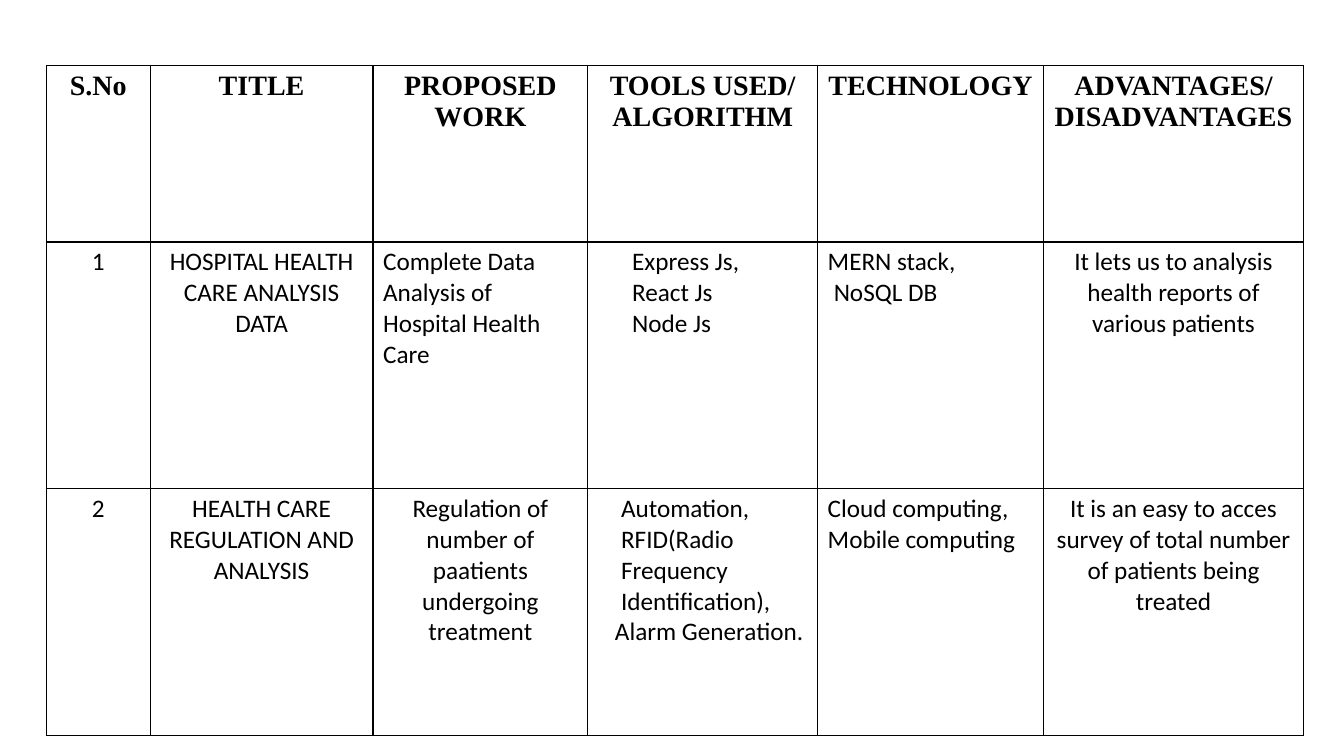
from lxml import etree
from pptx import Presentation
from pptx.dml.color import RGBColor
from pptx.enum.text import PP_ALIGN
from pptx.oxml.ns import qn
from pptx.util import Inches, Pt

CENTER, LEFT = PP_ALIGN.CENTER, PP_ALIGN.LEFT
COLORS = {"text": "000000", "border": "000000"}

COLUMN_WIDTHS = [1.03, 2.21, 2.13, 2.28, 2.24, 2.58]
ROW_HEIGHTS = [1.75, 2.45, 2.45]

HEADERS = ["S.No", "TITLE", "PROPOSED WORK", "TOOLS USED/\nALGORITHM",
           "TECHNOLOGY", "ADVANTAGES/ DISADVANTAGES"]

# Each entry: text with one paragraph per line, alignment, indent of each line
STUDIES = [
    [
        ("1", CENTER, []),
        ("HOSPITAL HEALTH CARE ANALYSIS DATA", CENTER, []),
        ("Complete Data Analysis of Hospital Health Care", LEFT, []),
        ("Express Js,\nReact Js\nNode Js", LEFT, [0.34] * 3),
        ("MERN stack,\nNoSQL DB", LEFT, [0, 0.06]),
        ("It lets us to analysis health reports of various patients", CENTER, []),
    ],
    [
        ("2", CENTER, []),
        ("HEALTH CARE REGULATION AND ANALYSIS", CENTER, []),
        ("Regulation of number of paatients undergoing treatment", CENTER, []),
        ("Automation,\nRFID(Radio\nFrequency\nIdentification),\nAlarm Generation.",
         LEFT, [0.23] * 4 + [0.17]),
        ("Cloud computing,\nMobile computing", LEFT, []),
        ("It is an easy to acces survey of total number of patients being treated",
         CENTER, []),
    ],
]


class SlideBuilder:
    """Holds the current slide and the text styles of the table."""

    header_style = ("Times New Roman", 20, True)
    body_style = ("Calibri", 18, False)

    def __init__(self, presentation):
        self.slide = presentation.slides.add_slide(presentation.slide_layouts[6])

    def add_table(self, left, top, column_widths, row_heights):
        frame = self.slide.shapes.add_table(
            len(row_heights), len(column_widths), Inches(left), Inches(top),
            Inches(sum(column_widths)), Inches(sum(row_heights)))
        table = frame.table
        table.first_row = False
        table.horz_banding = False
        for column, width in zip(table.columns, column_widths):
            column.width = Inches(width)
        for row, height in zip(table.rows, row_heights):
            row.height = Inches(height)
        return table

    def add_borders(self, cell):
        properties = cell._tc.get_or_add_tcPr()
        for position, side in enumerate(("a:lnL", "a:lnR", "a:lnT", "a:lnB")):
            line = etree.Element(qn(side), w=str(Pt(1)))
            fill = etree.SubElement(line, qn("a:solidFill"))
            etree.SubElement(fill, qn("a:srgbClr"), val=COLORS["border"])
            properties.insert(position, line)

    def fill_cell(self, cell, text, style, alignment, indents=()):
        font_name, size, bold = style
        cell.fill.background()
        self.add_borders(cell)
        for index, line in enumerate(text.split("\n")):
            frame = cell.text_frame
            paragraph = frame.add_paragraph() if index else frame.paragraphs[0]
            paragraph.alignment = alignment
            if indents:
                margin = Inches(indents[index])
                paragraph._p.get_or_add_pPr().set("marL", str(margin))
            run = paragraph.add_run()
            run.text = line
            run.font.name = font_name
            run.font.size = Pt(size)
            run.font.bold = bold
            run.font.color.rgb = RGBColor.from_string(COLORS["text"])


def main():
    presentation = Presentation()
    presentation.slide_width = Inches(13.33)
    presentation.slide_height = Inches(7.5)

    builder = SlideBuilder(presentation)
    table = builder.add_table(0.46, 0.65, COLUMN_WIDTHS, ROW_HEIGHTS)
    for column, header in enumerate(HEADERS):
        builder.fill_cell(table.cell(0, column), header, builder.header_style, CENTER)
    for row, study in enumerate(STUDIES, start=1):
        for column, (text, alignment, indents) in enumerate(study):
            builder.fill_cell(table.cell(row, column), text, builder.body_style,
                              alignment, indents)

    presentation.save("out.pptx")


if __name__ == "__main__":
    main()
